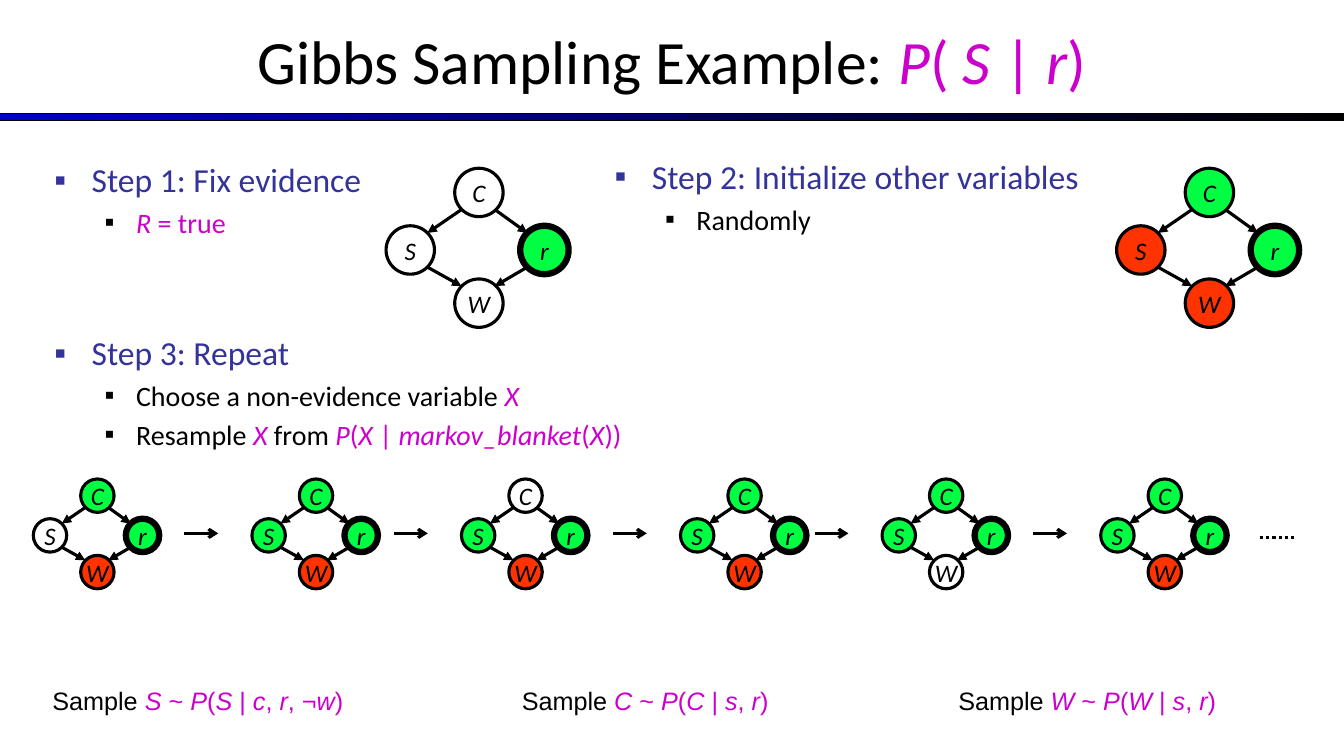
from lxml.etree import SubElement as Sub
from pptx import Presentation
from pptx.dml.color import RGBColor as RGB
from pptx.enum.dml import MSO_LINE as Dash
from pptx.enum.shapes import MSO_CONNECTOR as Conn, MSO_SHAPE as Shape
from pptx.enum.text import MSO_ANCHOR as Anchor, PP_ALIGN as Align
from pptx.oxml.ns import qn
from pptx.util import Cm, Pt

COLORS = {
    "black": "000000", "white": "FFFFFF", "navy": "333399", "pink": "CC00CC",
    "blue": "0000CC", "green": "00FF42", "red": "FF3300",
}
INK = {name: RGB.from_string(code) for name, code in COLORS.items()}
FILLS = {"w": "white", "g": "green", "r": "red"}


def write(para, text, size, color="black", font="Calibri"):
    for i, part in enumerate(text.split("$")):
        for j, piece in enumerate(part.split("*")):
            if piece:
                run = para.add_run()
                run.text = piece
                run.font.name = font
                run.font.size = Pt(size)
                run.font.italic = j % 2 == 1
                run.font.color.rgb = INK["pink" if i % 2 else color]


def wire(home, x1, y1, x2, y2, head=None):
    line = home.add_connector(Conn.STRAIGHT, Cm(x1), Cm(y1), Cm(x2), Cm(y2))
    line.line.color.rgb = INK["black"]
    line.line.width = Pt(2.25)
    if head:
        Sub(line.line._get_or_add_ln(), qn("a:tailEnd"), type=head)
    Sub(line._element.spPr, qn("a:effectLst"))
    return line


deck = Presentation()
deck.slide_width, deck.slide_height = Cm(33.87), Cm(19.05)
slide = deck.slides.add_slide(deck.slide_layouts[6])
shapes = slide.shapes

rule = shapes.add_shape(Shape.RECTANGLE, 0, Cm(2.87), Cm(33.87), Cm(0.18))
rule.shadow.inherit = False
rule.fill.gradient()
rule.fill.gradient_angle = 0
for stop, color in zip(rule.fill.gradient_stops, ("blue", "black")):
    stop.color.rgb = INK[color]
rule.line.color.rgb = INK["black"]
rule.line.width = Pt(0.75)

title = shapes.add_textbox(0, Cm(-0.08), Cm(33.87), Cm(3.18)).text_frame
title.word_wrap = True
title.vertical_anchor = Anchor.MIDDLE
title.paragraphs[0].alignment = Align.CENTER
write(title.paragraphs[0], "Gibbs Sampling Example: $*P*( *S* | *r*)$", 44)

STEPS = [
    (1.12, 3.89, 8.4, ["Step 1: Fix evidence", "$*R* = true$"]),
    (15.24, 3.81, 13, ["Step 2: Initialize other variables", "Randomly"]),
    (1.12, 8.25, 18.14, [
        "Step 3: Repeat",
        "Choose a non-evidence variable $*X*$",
        "Resample $*X*$ from $*P*(*X *| *markov_blanket*(*X*))$",
    ]),
]
for left, top, width, lines in STEPS:
    frame = shapes.add_textbox(Cm(left), Cm(top), Cm(width), Cm(3.3)).text_frame
    frame.word_wrap = True
    for i, text in enumerate(lines):
        para = frame.paragraphs[0] if i == 0 else frame.add_paragraph()
        size, color, margin, indent = (20, "black", 2.06, 0.79) if i else (24, "navy", 0.94, 0.94)
        para.level = min(i, 1)
        para.space_before = Pt(size * 0.2)
        props = para._p.get_or_add_pPr()
        props.set("marL", str(Cm(margin)))
        props.set("indent", str(-Cm(indent)))
        Sub(Sub(props, qn("a:buClr")), qn("a:srgbClr"), val=COLORS[color])
        Sub(props, qn("a:buFont"), typeface="Arial")
        Sub(props, qn("a:buChar"), char="▪")
        write(para, text, size, color)

NODES = {"C": (1.73, 0), "S": (0, 1.45), "r": (3.38, 1.45), "W": (1.73, 2.79)}
EDGES = [
    (2.74, 1.04, 3.56, 1.63), (1.9, 1.04, 1.04, 1.63),
    (1.04, 2.49, 1.9, 2.97), (3.56, 2.49, 2.74, 2.97),
]
NETS = [
    (9.73, 4.24, 1, "wwgw"), (28.14, 4.24, 1, "grgr"),
    (0.84, 12.07, 0.69, "gwgr"), (6.35, 12.07, 0.69, "gggr"),
    (11.63, 12.07, 0.69, "wggr"), (17.15, 12.07, 0.69, "gggr"),
    (22.23, 12.07, 0.69, "gggw"), (27.74, 12.07, 0.69, "gggr"),
]
for left, top, scale, fills in NETS:
    net = shapes.add_group_shape().shapes
    for (name, (x, y)), fill in zip(NODES.items(), fills):
        side = Cm(1.22 * scale)
        node = net.add_shape(Shape.OVAL, Cm(left + x * scale), Cm(top + y * scale), side, side)
        node.shadow.inherit = False
        node.fill.solid()
        node.fill.fore_color.rgb = INK[FILLS[fill]]
        node.line.color.rgb = INK["black"]
        node.line.width = Pt(4.5 if name == "r" else 2.25)
        frame = node.text_frame
        frame.word_wrap = False
        frame.vertical_anchor = Anchor.MIDDLE
        frame.paragraphs[0].alignment = Align.CENTER
        write(frame.paragraphs[0], f"*{name}*", 18)
    for x1, y1, x2, y2 in EDGES:
        wire(net, left + x1 * scale, top + y1 * scale,
             left + x2 * scale, top + y2 * scale, "triangle")

for left, *rest in NETS[3:]:
    wire(shapes, left - 1.7, 13.44, left - 0.85, 13.44, "arrow")
dots = wire(shapes, 31.75, 13.54, 32.6, 13.54)
dots.line.dash_style = Dash.ROUND_DOT

SAMPLES = [
    (1.07, 7.95, "Sample $*S* ~ *P*(*S* | *c*, *r*, *¬w*)$"),
    (12.9, 6.78, "Sample $*C* ~ *P*(*C* | *s*, *r*)$"),
    (23.9, 7.09, "Sample $*W* ~ *P*(*W* | *s*, *r*)$"),
]
for left, width, text in SAMPLES:
    frame = shapes.add_textbox(Cm(left), Cm(17.15), Cm(width), Cm(1.02)).text_frame
    frame.word_wrap = False
    write(frame.paragraphs[0], text, 18, font="Arial")

deck.save("out.pptx")
